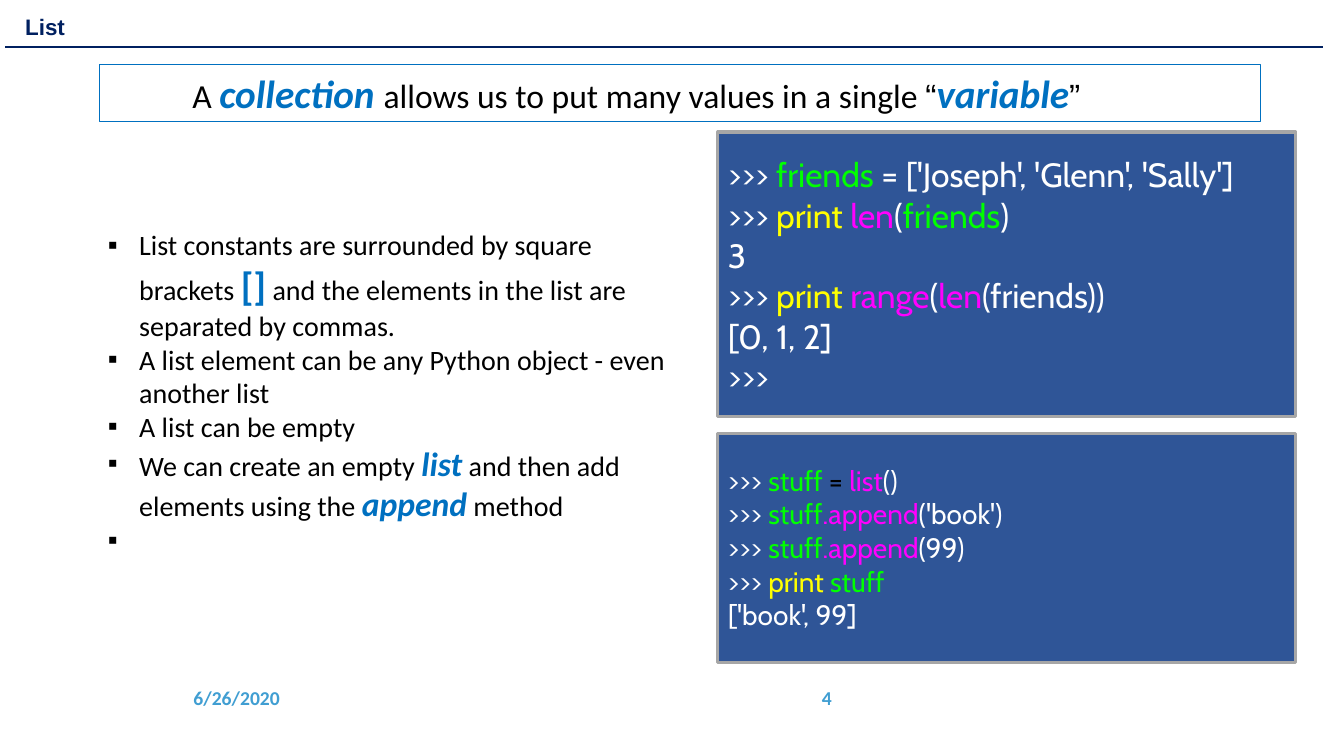
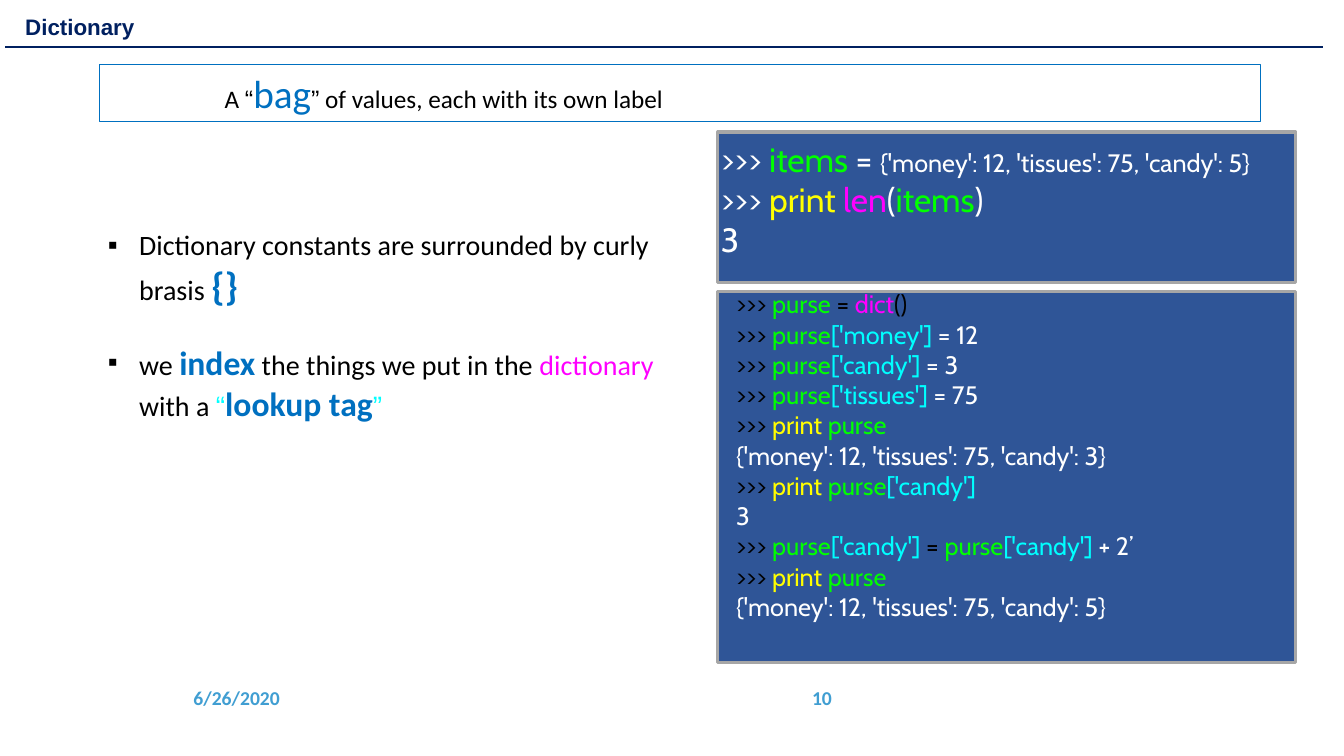
from dataclasses import dataclass
from functools import partial

from lxml import etree
from pptx import Presentation
from pptx.dml.color import RGBColor
from pptx.enum.shapes import MSO_CONNECTOR, MSO_SHAPE
from pptx.enum.text import MSO_ANCHOR, MSO_AUTO_SIZE, PP_ALIGN
from pptx.oxml.ns import qn
from pptx.util import Inches, Pt

RECT = MSO_SHAPE.RECTANGLE
LINE = MSO_CONNECTOR.STRAIGHT
TOP, MID, LOW = MSO_ANCHOR.TOP, MSO_ANCHOR.MIDDLE, MSO_ANCHOR.BOTTOM
LEFT, RIGHT = PP_ALIGN.LEFT, PP_ALIGN.RIGHT
FIXED = MSO_AUTO_SIZE.NONE

COLORS = {
    "black": "000000", "white": "FFFFFF", "navy": "002060",
    "blue": "0070C0", "sky": "409ED2", "panel": "2F5597",
    "edge": "A6A6A6", "green": "00FF00", "yellow": "FFFF00",
    "pink": "FF00FF", "cyan": "00FFFF",
}
HEAD_FONT, TEXT_FONT, CODE_FONT = "Arial", "Calibri", "Cabin"


@dataclass(frozen=True)
class Run:
    """A piece of text; unset size and font come from its block."""
    text: str
    color: str = "black"
    size: int = 0
    bold: bool = False
    slant: bool = False
    font: str = ""


@dataclass(frozen=True)
class Panel:
    """A code panel: its top and height, its text frame and its lines."""
    top: float
    height: float
    frame: tuple[float, float, float, float]
    size: int
    lines: list[list[Run]]


@dataclass(frozen=True)
class Page:
    """The content of one slide."""
    title: str
    number: str
    lead: list[Run]
    lead_size: int
    indent: float
    points: list[list[Run]]
    height: float
    gap: int
    panels: list[Panel]


def hue(name: str) -> RGBColor:
    """Look up a named colour."""
    return RGBColor.from_string(COLORS[name])


def spot(shape, left: float, top: float, width: float, height: float) -> None:
    """Place a shape, in inches."""
    shape.left, shape.top = Inches(left), Inches(top)
    shape.width, shape.height = Inches(width), Inches(height)


def write(shape, lines: list[list[Run]], *, size: int, font: str = TEXT_FONT,
          anchor=TOP, align=LEFT, inset: bool = True, indent: float = 0,
          hang: float = 0, bullet: str = "", gap: int = 0,
          pitch: float = 1) -> None:
    """Fill a shape with paragraphs of runs."""
    frame = shape.text_frame
    frame.word_wrap, frame.auto_size = True, FIXED
    frame.vertical_anchor = anchor
    side, edge = (0.1, 0.05) if inset else (0, 0)
    frame.margin_left = frame.margin_right = Inches(side)
    frame.margin_top = frame.margin_bottom = Inches(edge)
    for i, line in enumerate(lines):
        para = frame.add_paragraph() if i else frame.paragraphs[0]
        para.alignment, para.line_spacing = align, pitch
        para.space_before, para.space_after = Pt(gap if i else 0), Pt(0)
        props = para._p.get_or_add_pPr()
        props.set("marL", str(Inches(indent)))
        props.set("indent", str(Inches(-hang)))
        if bullet:
            etree.SubElement(props, qn("a:buFont")).set("typeface", HEAD_FONT)
            etree.SubElement(props, qn("a:buChar")).set("char", bullet)
        for part in line:
            run = para.add_run()
            run.text = part.text
            run.font.name = part.font or font
            run.font.size = Pt(part.size or size)
            run.font.bold, run.font.italic = part.bold, part.slant
            run.font.color.rgb = hue(part.color)


def box(slide, place: tuple[float, float, float, float], edge: str,
        weight: float, fill: str = ""):
    """Draw a framed rectangle, filled if a colour is given."""
    shape = slide.shapes.add_shape(RECT, *map(Inches, place))
    shape.shadow.inherit = False
    if fill:
        shape.fill.solid()
        shape.fill.fore_color.rgb = hue(fill)
    else:
        shape.fill.background()
    shape.line.color.rgb = hue(edge)
    shape.line.width = Pt(weight)
    return shape


def label(slide, place: tuple[float, float, float, float],
          lines: list[list[Run]], **form) -> None:
    """Add a text box."""
    write(slide.shapes.add_textbox(*map(Inches, place)), lines,
          anchor=MID, **form)


def base(slide, page: Page) -> None:
    """Add the title, rule, date and page number."""
    title = slide.shapes.title
    spot(title, 0.15, 0.1, 9.04, 0.35)
    title.fill.solid()
    title.fill.fore_color.rgb = hue("white")
    write(title, [[Run(page.title, "navy", bold=True)]], size=16,
          font=HEAD_FONT, anchor=LOW, pitch=0.9)
    ends = map(Inches, (0.05, 0.47, 13.12, 0.47))
    rule = slide.shapes.add_connector(LINE, *ends)
    rule.line.color.rgb = hue("navy")
    rule.line.width = Pt(1.5)
    etree.SubElement(rule._element.spPr, qn("a:effectLst"))
    foot = partial(Run, color="sky", bold=True)
    label(slide, (1.82, 6.72, 1.38, 0.4), [[foot("6/26/2020")]], size=14)
    label(slide, (5.32, 6.72, 3.03, 0.4), [[foot(page.number)]], size=14,
          align=RIGHT)


def build(deck, page: Page) -> None:
    """Add one slide."""
    slide = deck.slides.add_slide(deck.slide_layouts[1])
    base(slide, page)
    lead = box(slide, (0.99, 0.64, 11.51, 0.57), "blue", 0.75)
    write(lead, [page.lead], size=page.lead_size, indent=page.indent)
    body = slide.placeholders[1]
    spot(body, 0.15, 2.21, 6.82, page.height)
    write(body, page.points, size=20, indent=1.13, hang=0.31, bullet="▪",
          gap=page.gap)
    for panel in page.panels:
        box(slide, (7.12, panel.top, 5.73, panel.height), "edge", 2.25, "panel")
        label(slide, panel.frame, panel.lines, size=panel.size,
              font=CODE_FONT, inset=False)


white, green, pink, cyan = (
    partial(Run, color=name) for name in ("white", "green", "pink", "cyan"))
quote = partial(Run, font=HEAD_FONT)
bold = partial(Run, color="blue", bold=True)
term = partial(bold, slant=True)
ASK, DARK = white(">>> "), Run(">>> ")
PRINT = Run("print ", "yellow")
EQUAL = Run(" = ")
STUFF, PURSE = green("stuff"), green("purse")
APPEND = pink(".append")

PAGES = [
    Page(
        "List", "4",
        [Run("A "), term("collection ", size=28),
         Run("allows us to put many values in a single "), quote("“"),
         term("variable", size=28), quote("”")],
        24, 0.82,
        [[Run("List constants are surrounded by square brackets "),
          bold("[]", size=28),
          Run(" and the elements in the list are separated by commas.")],
         [Run("A list element can be any Python object - even another list")],
         [Run("A list can be empty")],
         [Run("We can create an empty "), term("list", size=24),
          Run(" and then add elements using the "), term("append", size=24),
          Run(" method")],
         [Run(" ")]],
        3.4, 0,
        [Panel(1.31, 2.82, (7.22, 1.52, 6.1, 2.42), 24, [
            [ASK, green("friends "), white("= ['Joseph', 'Glenn', 'Sally']")],
            [ASK, PRINT, pink("len"), white("("), green("friends"), white(")")],
            [white("3")],
            [ASK, PRINT, pink("range"), white("("), pink("len"),
             white("(friends))")],
            [white("[0, 1, 2]")],
            [ASK]]),
         Panel(4.3, 2.27, (7.22, 4.59, 5.63, 1.68), 20, [
             [ASK, STUFF, EQUAL, pink("list"), white("()")],
             [ASK, STUFF, APPEND, white("('book')")],
             [ASK, STUFF, APPEND, white("(99)")],
             [ASK, PRINT, STUFF],
             [white("['book', 99]")]])]),
    Page(
        "Dictionary", "10",
        [Run("A "), quote("“"), Run("bag", "blue", 28), quote("”"),
         Run(" of values, each with its own label")],
        18, 1.14,
        [[Run("Dictionary constants are surrounded by curly brasis "),
          bold("{}", size=28)],
         [Run("we "), bold("index", size=24),
          Run(" the things we put in the "), pink("dictionary"),
          Run(" with a "), quote("“", "cyan"), bold("lookup tag", size=24),
          quote("”", "cyan")]],
        2.39, 24,
        [Panel(1.31, 1.49, (7.15, 1.37, 6.1, 1.21), 24, [
            [ASK, green("items "), white("= "),
             white("{'money': 12, 'tissues': 75, 'candy': 5}", size=18)],
            [ASK, PRINT, pink("len"), white("("), green("items"), white(")")],
            [white("3")]]),
         Panel(2.89, 3.68, (7.3, 2.85, 4.42, 3.33), 18, [
             [DARK, PURSE, EQUAL, pink("dict"), Run("()")],
             [DARK, PURSE, cyan("['money']"), white(" = 12")],
             [DARK, PURSE, cyan("['candy'] "), white("= 3")],
             [DARK, PURSE, cyan("['tissues'] "), white("= 75")],
             [DARK, PRINT, PURSE],
             [white("{'money': 12, 'tissues': 75, 'candy': 3}")],
             [DARK, PRINT, PURSE, cyan("['candy']")],
             [white("3")],
             [DARK, PURSE, cyan("['candy']"), EQUAL, PURSE,
              cyan("['candy'] "), white("+ 2’")],
             [DARK, PRINT, PURSE],
             [white("{'money': 12, 'tissues': 75, 'candy': 5}")]])]),
]

deck = Presentation()
deck.slide_width, deck.slide_height = Inches(13.33), Inches(7.5)
for page in PAGES:
    build(deck, page)
deck.save("out.pptx")
